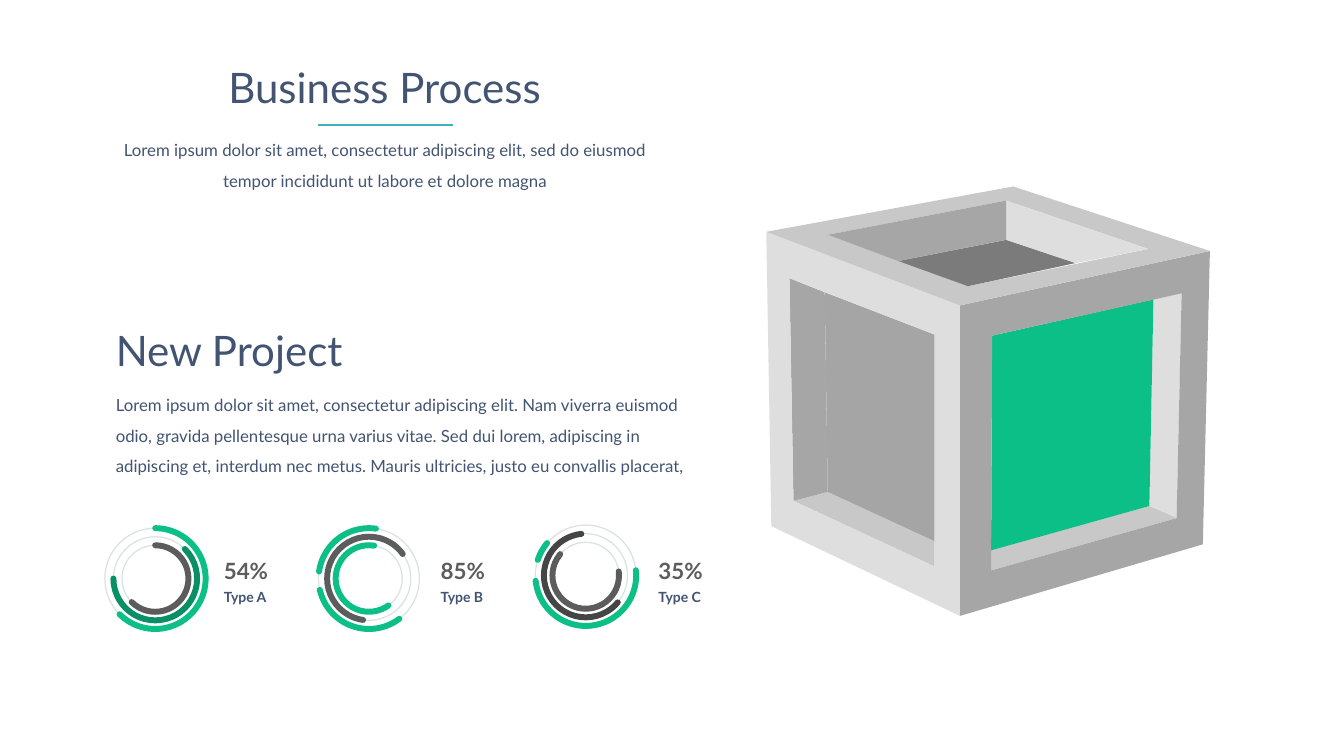
from lxml.etree import SubElement
from pptx import Presentation
from pptx.dml.color import RGBColor
from pptx.enum.shapes import MSO_CONNECTOR, MSO_SHAPE
from pptx.enum.text import PP_ALIGN
from pptx.oxml.ns import qn
from pptx.util import Pt

PX = 9144
GREEN, DARK_GREEN, GRAY, DARK_GRAY = "0CBF86", "098F65", "5C5C5C", "454545"
NAVY, TRACK, TEAL = "425471", "DAE2E2", "40B1B5"
SHADE, LIGHT, MIDTONE, FLOOR = "A6A6A6", "DEDEDE", "C8C8C8", "7B7B7B"
DIAMETERS = {"outer": 100, "middle": 83, "inner": 66}

CUBE_FACES = [
    (MIDTONE, [[(787, 497), (821, 488), (927, 537), (927, 562)]]),
    (SHADE, [[(783, 276), (818, 290), (821, 488), (787, 497)]]),
    ("A5A5A5", [[(927, 332), (927, 537), (821, 488), (818, 290)]]),
    (LIGHT, [[(1140, 502), (1144, 297), (1172, 291), (1167, 514)]]),
    (MIDTONE, [[(983, 566), (983, 546), (1140, 502), (1167, 514)]]),
    (GREEN, [[(984, 333), (1144, 297), (1140, 502), (983, 546)]]),
    (SHADE, [[(1193, 540), (952, 611), (952, 303), (1200, 249)],
             [(1172, 291), (984, 333), (983, 566), (1167, 514)]]),
    (LIGHT, [[(952, 611), (765, 522), (760, 230), (952, 303)],
             [(787, 497), (927, 562), (927, 332), (783, 276)]]),
    (MIDTONE, [[(1200, 249), (952, 303), (760, 230), (1005, 185)],
               [(1139, 247), (998, 199), (821, 233), (960, 284)]]),
    (FLOOR, [[(960, 284), (891, 259), (998, 238), (1067, 261)]]),
    (LIGHT, [[(1139, 247), (1067, 261), (998, 238), (998, 199)]]),
    (SHADE, [[(891, 259), (821, 233), (998, 199), (998, 238)]]),
]

GAUGES = [
    ((154, 574), 222, "54%", "Type A", [
        ("outer", 270, 135, GREEN),
        ("middle", 315, 180, DARK_GREEN),
        ("inner", 270, 135, GRAY)]),
    ((366, 574), 437, "85%", "Type B", [
        ("outer", 188, 278, GREEN),
        ("outer", 53, 167, GREEN),
        ("middle", 98, 324, GRAY),
        ("inner", 54, 279, GREEN)]),
    ((581, 571), 653, "35%", "Type C", [
        ("outer", 198, 220, GREEN),
        ("outer", 354, 174, GREEN),
        ("middle", 40, 264, DARK_GRAY),
        ("inner", 353, 220, GRAY)]),
]


def emu(px):
    """Turn px into EMU."""
    return round(px * PX)


def color(hex_value):
    """Turn a hex string into a colour."""
    return RGBColor.from_string(hex_value)


def add_text(slide, box, text, size, ink=NAVY, bold=False, align=PP_ALIGN.LEFT,
             spacing=0.9, padding=(0, 0)):
    """Add a one-paragraph text box."""
    frame = slide.shapes.add_textbox(*map(emu, box)).text_frame
    frame.word_wrap = True
    frame.margin_left = frame.margin_right = emu(padding[0])
    frame.margin_top = frame.margin_bottom = emu(padding[1])
    frame.text = text
    paragraph = frame.paragraphs[0]
    paragraph.alignment = align
    paragraph.line_spacing = spacing
    font = paragraph.runs[0].font
    font.name, font.size, font.bold = "Lato", Pt(size), bold
    font.color.rgb = color(ink)


def add_face(slide, fill, outlines):
    """Add a filled polygon whose later outlines cut holes."""
    builder = slide.shapes.build_freeform(*outlines[0][0], scale=PX)
    builder.add_line_segments(outlines[0][1:], close=True)
    for hole in outlines[1:]:
        builder.move_to(*hole[0])
        builder.add_line_segments(hole[1:], close=True)
    face = builder.convert_to_shape()
    face.shadow.inherit = False
    face.fill.solid()
    face.fill.fore_color.rgb = color(fill)
    face.line.fill.background()


def add_ring(slide, preset, center, diameter, stroke, width):
    """Add an unfilled circle or arc around a centre."""
    left, top = (emu(middle - diameter / 2) for middle in center)
    ring = slide.shapes.add_shape(preset, left, top, emu(diameter), emu(diameter))
    ring.shadow.inherit = False
    ring.fill.background()
    ring.line.color.rgb = color(stroke)
    ring.line.width = Pt(width)
    return ring


def add_arc(slide, center, diameter, start, end, stroke):
    """Add a clockwise round-capped arc between two angles in degrees."""
    arc = add_ring(slide, MSO_SHAPE.ARC, center, diameter, stroke, 4.25)
    for index, angle in enumerate((start, end)):
        arc.adjustments[index] = angle * 0.6
    arc.line._get_or_add_ln().set("cap", "rnd")


def add_gauge(slide, center, label_left, value, label, arcs):
    """Add three tracks, their arcs and the two labels."""
    for diameter in DIAMETERS.values():
        add_ring(slide, MSO_SHAPE.OVAL, center, diameter, TRACK, 0.88)
    for track, start, end, stroke in arcs:
        add_arc(slide, center, DIAMETERS[track], start, end, stroke)
    add_text(slide, (label_left, 556, 49, 29), value, 16, GRAY, True)
    add_text(slide, (label_left, 586, 49, 23), label, 10, NAVY, True)


def add_rule(slide, left, right, y):
    """Add the horizontal line below the title."""
    rule = slide.shapes.add_connector(
        MSO_CONNECTOR.STRAIGHT, *map(emu, (left, y, right, y)))
    rule.line.color.rgb = color(TEAL)
    rule.line.width = Pt(2)
    SubElement(rule._element.spPr, qn("a:effectLst"))


def main():
    """Build the slide and save it."""
    presentation = Presentation()
    presentation.slide_width, presentation.slide_height = emu(1333), emu(750)
    slide = presentation.slides.add_slide(presentation.slide_layouts[6])
    for fill, outlines in CUBE_FACES:
        add_face(slide, fill, outlines)
    for gauge in GAUGES:
        add_gauge(slide, *gauge)
    add_text(slide, (180, 67, 403, 62), "Business Process", 30,
             align=PP_ALIGN.CENTER)
    add_rule(slide, 315, 449, 124)
    add_text(slide, (97, 129, 570, 61),
             "Lorem ipsum dolor sit amet, consectetur adipiscing elit, sed do "
             "eiusmod tempor incididunt ut labore et dolore magna", 12,
             align=PP_ALIGN.CENTER, spacing=1.5)
    add_text(slide, (105, 377, 605, 97),
             "Lorem ipsum dolor sit amet, consectetur adipiscing elit. Nam "
             "viverra euismod odio, gravida pellentesque urna varius vitae. Sed "
             "dui lorem, adipiscing in adipiscing et, interdum nec metus. Mauris "
             "ultricies, justo eu convallis placerat,", 12,
             spacing=1.5, padding=(10, 5))
    add_text(slide, (105, 327, 361, 50), "New Project", 30,
             spacing=0.8, padding=(10, 5))
    presentation.save("out.pptx")


if __name__ == "__main__":
    main()
